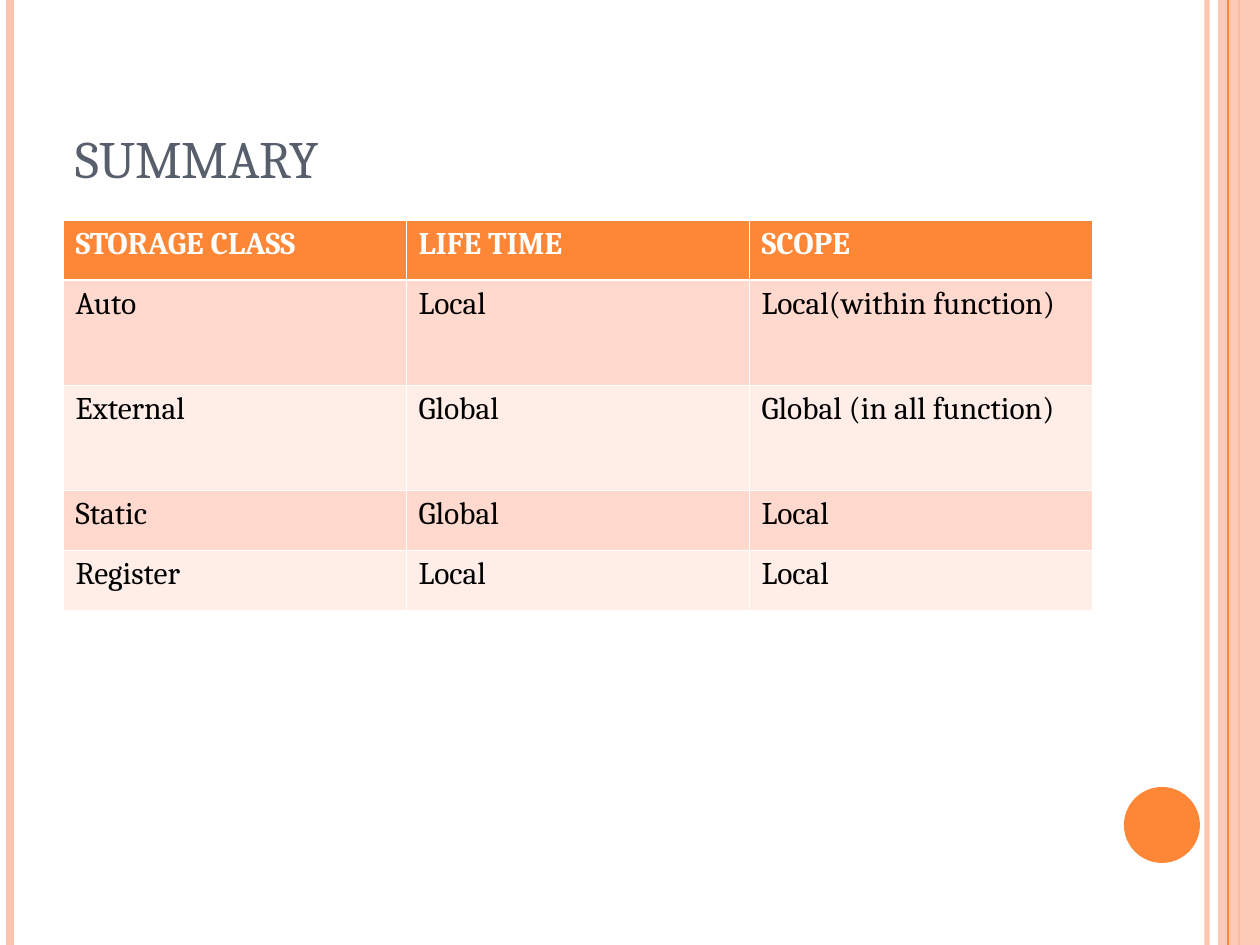
from lxml import etree
from pptx import Presentation
from pptx import util as u
from pptx.dml.color import RGBColor
from pptx.enum import shapes, text
from pptx.oxml import ns

THEME = {
    "orange": "FE8637", "peach": "FEC3AE", "slate": "575F6D",
    "white": "FFFFFF", "black": "000000", "bands": ["FFD9CE", "FFEDE8"],
    "font": "Cambria", "title": 30, "cell": 18, "thin": 0.45, "thick": 1.47,
}
SCALE = 914400 / 126


def px(*lengths):
    return [u.Emu(round(length * SCALE)) for length in lengths]


def write(frame, words, size, color, bold=False):
    para = frame.paragraphs[0]
    span = para.add_run()
    span.text = words
    look = {"name": THEME["font"], "size": u.Pt(size), "bold": bold}
    for key, value in look.items():
        setattr(span.font, key, value)
    span.font.color.rgb = RGBColor.from_string(color)


deck = Presentation()
deck.slide_width, deck.slide_height = px(1260, 945)
page = deck.slides.add_slide(deck.slide_layouts[6])

stripes = [
    ("line", 1207, 3, "peach", 93),
    ("line", 10, 4.5, "peach", 100),
    ("line", 1239, 1.5, "orange", 100),
    ("band", 1218, 42, "peach", 87),
    ("line", 1228, 0.75, "orange", 100),
]
for kind, left, width, color, opacity in stripes:
    if kind == "line":
        stripe = page.shapes.add_connector(
            shapes.MSO_CONNECTOR.STRAIGHT, *px(left, 0, left, 945))
        etree.SubElement(stripe.line._get_or_add_ln(), ns.qn("a:solidFill"))
        stripe.line.width = u.Pt(width)
        fill = stripe.line.fill
    else:
        stripe = page.shapes.add_shape(
            shapes.MSO_SHAPE.RECTANGLE, *px(left, 0, width, 945))
        stripe.line.fill.background()
        fill = stripe.fill
    fill.solid()
    fill.fore_color.rgb = RGBColor.from_string(THEME[color])
    etree.SubElement(stripe._element.spPr, ns.qn("a:effectLst"))
    if opacity < 100:
        tint = next(stripe._element.spPr.iter(ns.qn("a:srgbClr")))
        etree.SubElement(tint, ns.qn("a:alpha"), val=str(opacity * 1000))

circle = page.shapes.add_shape(shapes.MSO_SHAPE.OVAL, *px(1124, 787, 76, 76))
circle.shadow.inherit = False
circle.fill.solid()
circle.fill.fore_color.rgb = RGBColor.from_string(THEME["orange"])
circle.line.fill.background()

title = page.shapes.add_textbox(*px(63, 38, 1029, 157)).text_frame
title.word_wrap = True
title.vertical_anchor = text.MSO_ANCHOR.BOTTOM
write(title, "SUMMARY", THEME["title"], THEME["slate"])

rows = [
    ("STORAGE CLASS", "LIFE TIME", "SCOPE"),
    ("Auto", "Local", "Local(within function)"),
    ("External", "Global", "Global (in all function)"),
    ("Static", "Global", "Local"),
    ("Register", "Local", "Local"),
]
heights = [60, 105, 105, 60, 60]
table = page.shapes.add_table(
    len(rows), len(rows[0]), *px(63, 220, 1029, sum(heights))).table
for column in table.columns:
    column.width = px(343)[0]

for row, words in enumerate(rows):
    table.rows[row].height = px(heights[row])[0]
    header = row == 0
    shade = THEME["orange"] if header else THEME["bands"][(row - 1) % 2]
    ink = THEME["white"] if header else THEME["black"]
    edges = dict.fromkeys("LRTB", THEME["thin"])
    if row < 2:
        edges["B" if header else "T"] = THEME["thick"]
    for column, word in enumerate(words):
        cell = table.cell(row, column)
        write(cell.text_frame, word, THEME["cell"], ink, header)
        properties = cell._tc.get_or_add_tcPr()
        for side, points in edges.items():
            edge = etree.SubElement(
                properties, ns.qn(f"a:ln{side}"), w=str(u.Pt(points)))
            paint = etree.SubElement(edge, ns.qn("a:solidFill"))
            etree.SubElement(paint, ns.qn("a:srgbClr"), val=THEME["white"])
        cell.fill.solid()
        cell.fill.fore_color.rgb = RGBColor.from_string(shade)

deck.save("out.pptx")
